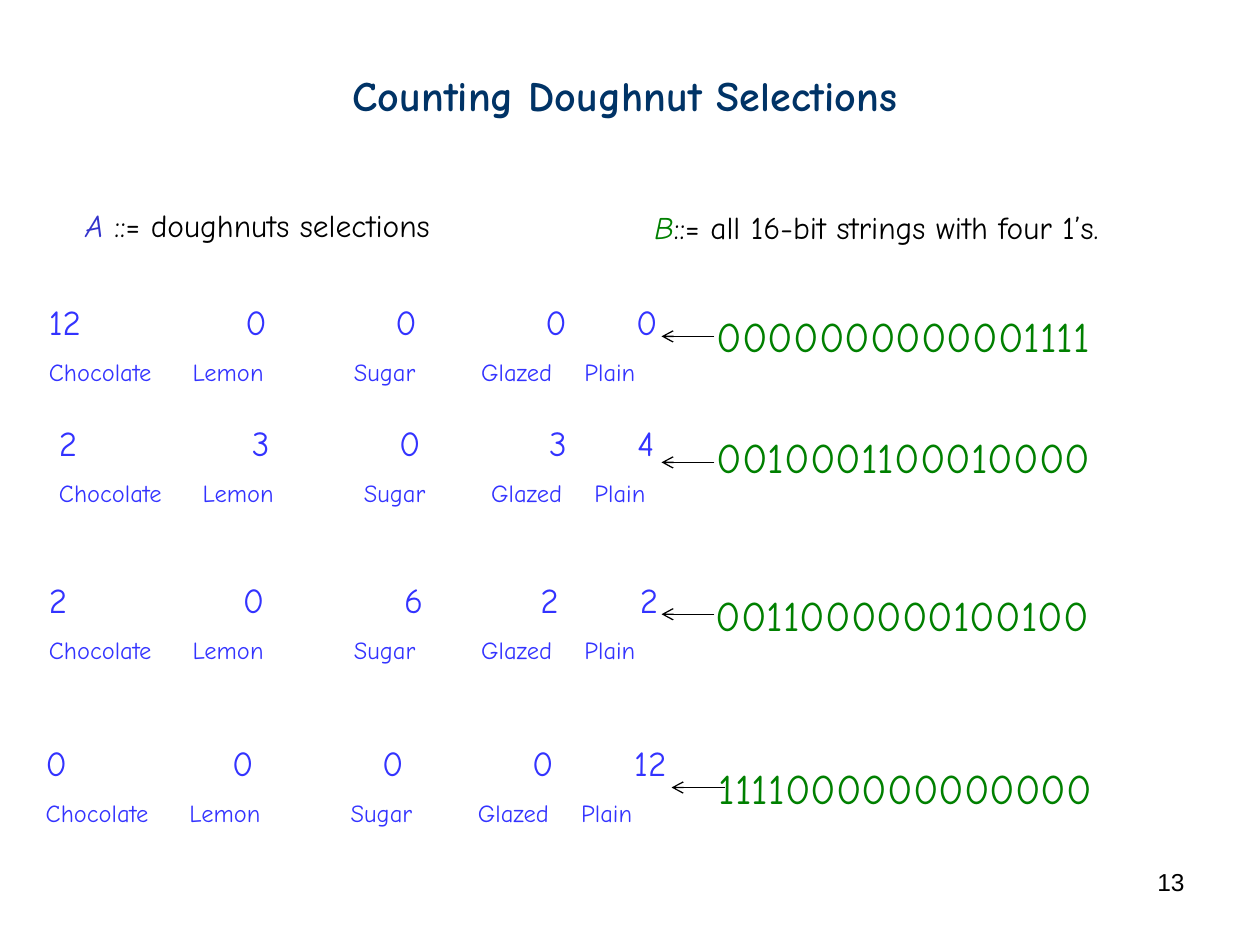
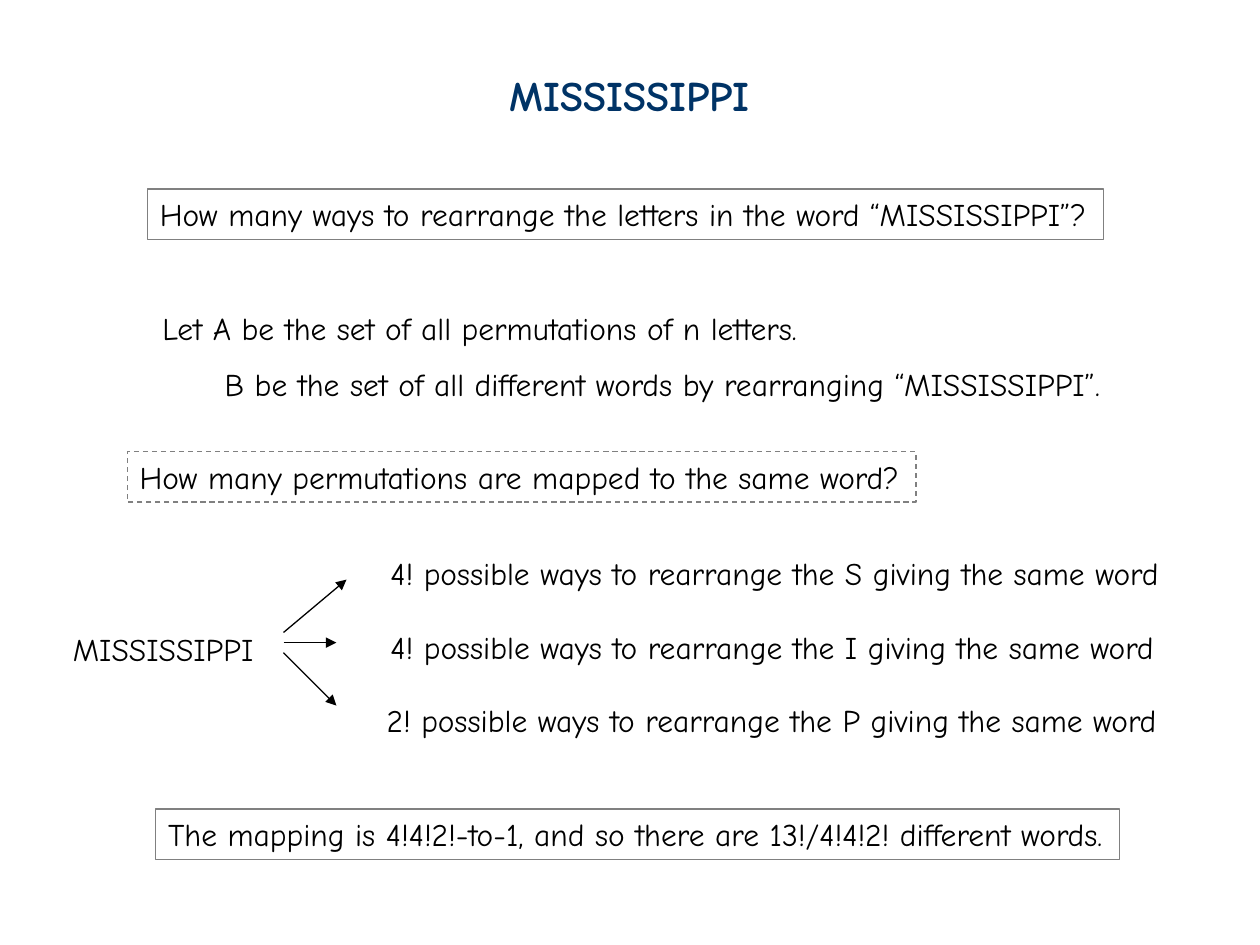
"""Build two slides on counting by mapping: doughnut selections and MISSISSIPPI."""
from dataclasses import dataclass
from typing import NamedTuple, Optional

from lxml.etree import SubElement
from pptx import Presentation
from pptx.dml.color import RGBColor
from pptx.enum.dml import MSO_LINE
from pptx.enum.shapes import MSO_CONNECTOR, MSO_SHAPE
from pptx.enum.text import MSO_ANCHOR, MSO_AUTO_SIZE, PP_ALIGN
from pptx.oxml.ns import qn
from pptx.util import Inches, Pt

SLIDE_WIDTH, SLIDE_HEIGHT = Inches(10), Inches(7.5)
COLUMNS, ROWS = 100, 75

NAVY = RGBColor(0x00, 0x33, 0x66)
INDIGO = RGBColor(0x33, 0x33, 0xCC)
BLUE = RGBColor(0x33, 0x33, 0xFF)
GREEN = RGBColor(0x00, 0x80, 0x00)
GRAY = RGBColor(0x80, 0x80, 0x80)
BLACK = RGBColor(0x00, 0x00, 0x00)

BODY_FONT = "Comic Neue"
NUMBER_FONT = "Arial"
TITLE_SIZE, COUNT_SIZE, BODY_SIZE, LABEL_SIZE = 24, 20, 18, 14
WIDE_SPACING = 1.5

FLAVOURS = ("Chocolate", "Lemon", "Sugar", "Glazed", "Plain")
FLAVOUR_STOPS = (11.4, 24.2, 34.3, 42.5)


class Area(NamedTuple):
    """Place and size in grid columns and rows."""
    left: float
    top: float
    width: float
    height: float = 4


class Style(NamedTuple):
    """Look of a run of text."""
    size: int = BODY_SIZE
    color: RGBColor = BLACK
    bold: bool = False
    italic: bool = False
    font: str = BODY_FONT


BODY = Style()
TITLE = Style(TITLE_SIZE, NAVY, bold=True)
BITS = Style(TITLE_SIZE, GREEN)
COUNTS = Style(COUNT_SIZE, BLUE)
FLAVOUR = Style(LABEL_SIZE, BLUE)
PAGE_NUMBER = Style(LABEL_SIZE, font=NUMBER_FONT)


@dataclass
class Selection:
    """Doughnut counts, their tab stops, and the matching bit string."""
    counts: tuple
    stops: tuple
    left: float
    top: float
    bits: str
    bits_left: float
    bits_top: float
    arrow_row: float
    arrow_column: float = 56.7


@dataclass
class Statement:
    """A line of body text, framed if it has a frame."""
    text: str
    area: Area
    framed: bool = False
    dash: Optional[MSO_LINE] = None


class Arrow(NamedTuple):
    """Start and end of an arrow in grid columns and rows."""
    start_column: float
    start_row: float
    end_column: float
    end_row: float


SELECTIONS = (
    Selection((12, 0, 0, 0, 0), (15.6, 27.5, 39.4, 46.6), 2.9, 23.35,
              "0000000000001111", 55.9, 24.15, 26.7),
    Selection((2, 3, 0, 3, 4), (15.3, 27, 38.9, 45.9), 3.7, 32.95,
              "0010001100010000", 55.9, 33.75, 36.7),
    Selection((2, 0, 6, 2, 2), (15.4, 28.2, 39, 46.9), 2.9, 45.4,
              "0011000000100100", 55.8, 46.3, 48.75),
    Selection((0, 0, 0, 0, 12), (14.8, 26.7, 38.6, 46.7), 2.65, 58.35,
              "1111000000000000", 56.05, 60, 62.5, 57.5),
)

STATEMENTS = (
    Statement("How many ways to rearrange the letters in the word “MISSISSIPPI”?",
              Area(11.7, 15, 75.9), framed=True),
    Statement("How many permutations are mapped to the same word?",
              Area(10.1, 35.85, 62.6), framed=True, dash=MSO_LINE.DASH),
    Statement("MISSISSIPPI", Area(4.8, 49.5, 16.4)),
    Statement("The mapping is 4!4!2!-to-1, and so there are 13!/4!4!2! different words.",
              Area(12.35, 64.2, 76.5), framed=True),
)

REARRANGEMENTS = (("4!", "S", 30, 63.3), ("4!", "I", 30, 62.9), ("2!", "P", 29.7, 63.4))
REARRANGEMENT_TOP, REARRANGEMENT_STEP = 43.5, 5.83

MAPPING_ARROWS = (
    Arrow(22.5, 50.2, 27.5, 46),
    Arrow(22.5, 51, 26.7, 51),
    Arrow(22.5, 51.8, 26.7, 56),
)


def across(columns: float) -> int:
    """Turn grid columns into a length."""
    return round(SLIDE_WIDTH * columns / COLUMNS)


def down(rows: float) -> int:
    """Turn grid rows into a length."""
    return round(SLIDE_HEIGHT * rows / ROWS)


def grid_box(area: Area) -> tuple:
    """Give left, top, width and height as lengths."""
    return across(area.left), down(area.top), across(area.width), down(area.height)


def apply_style(run, style: Style) -> None:
    """Format one run."""
    run.font.name = style.font
    run.font.size = Pt(style.size)
    run.font.bold = style.bold
    run.font.italic = style.italic
    run.font.color.rgb = style.color


def write(paragraph, text: str, style: Style) -> None:
    """Fill a paragraph with text in one style."""
    paragraph.text = text
    for run in paragraph.runs:
        apply_style(run, style)


def set_stops(paragraph, stops: tuple) -> None:
    """Give a paragraph left tab stops, in grid columns."""
    stop_list = SubElement(paragraph._p.get_or_add_pPr(), qn("a:tabLst"))
    for stop in stops:
        SubElement(stop_list, qn("a:tab"), pos=str(across(stop)), algn="l")


def keep_on_one_line(frame) -> None:
    """Let a frame grow with its text instead of wrapping it."""
    frame.word_wrap = False
    frame.auto_size = MSO_AUTO_SIZE.SHAPE_TO_FIT_TEXT


def add_text(slide, area: Area, text: str, style: Style = BODY, wrap: bool = False):
    """Add a text box and return its frame."""
    frame = slide.shapes.add_textbox(*grid_box(area)).text_frame
    if wrap:
        frame.word_wrap = True
    else:
        keep_on_one_line(frame)
    write(frame.paragraphs[0], text, style)
    return frame


def add_definition(slide, area: Area, symbol: str, color: RGBColor, meaning: str) -> None:
    """Add a set's italic symbol followed by its meaning."""
    frame = add_text(slide, area, symbol, Style(color=color, italic=True), wrap=True)
    meaning_run = frame.paragraphs[0].add_run()
    meaning_run.text = meaning
    apply_style(meaning_run, BODY)


def add_statement(slide, statement: Statement) -> None:
    """Add a statement as plain or framed text."""
    if not statement.framed:
        add_text(slide, statement.area, statement.text)
        return
    panel = slide.shapes.add_shape(MSO_SHAPE.RECTANGLE, *grid_box(statement.area))
    panel.shadow.inherit = False
    panel.fill.background()
    panel.line.color.rgb = GRAY
    panel.line.width = Pt(0.75)
    if statement.dash:
        panel.line.dash_style = statement.dash
    frame = panel.text_frame
    keep_on_one_line(frame)
    frame.vertical_anchor = MSO_ANCHOR.TOP
    write(frame.paragraphs[0], statement.text, BODY)
    frame.paragraphs[0].alignment = PP_ALIGN.LEFT


def add_arrow(slide, arrow: Arrow, head: str) -> None:
    """Add a thin black arrow."""
    connector = slide.shapes.add_connector(
        MSO_CONNECTOR.STRAIGHT,
        across(arrow.start_column), down(arrow.start_row),
        across(arrow.end_column), down(arrow.end_row))
    connector.line.color.rgb = BLACK
    connector.line.width = Pt(0.75)
    properties = connector._element.spPr
    SubElement(properties.find(qn("a:ln")), qn("a:tailEnd"), type=head)
    SubElement(properties, qn("a:effectLst"))


def add_selection(slide, selection: Selection) -> None:
    """Add the counts, flavours, arrow and bit string of one selection."""
    frame = add_text(slide, Area(selection.left, selection.top, 52, 7.9),
                     "\t".join(map(str, selection.counts)), COUNTS, wrap=True)
    set_stops(frame.paragraphs[0], selection.stops)
    flavours = frame.add_paragraph()
    set_stops(flavours, FLAVOUR_STOPS)
    flavours.line_spacing = WIDE_SPACING
    write(flavours, "\t".join(FLAVOURS), FLAVOUR)
    add_text(slide, Area(selection.bits_left, selection.bits_top, 39.1, 5),
             selection.bits, BITS, wrap=True)
    add_arrow(slide, Arrow(selection.arrow_column, selection.arrow_row,
                           selection.arrow_column - 4.2, selection.arrow_row), "arrow")


def start_slide(deck, title: str, left: float, width: float):
    """Add a blank slide with its title."""
    slide = deck.slides.add_slide(deck.slide_layouts[6])
    add_text(slide, Area(left, 5, width, 5), title, TITLE)
    return slide


def build_doughnuts(deck) -> None:
    """Match doughnut selections with bit strings."""
    slide = start_slide(deck, "Counting Doughnut Selections", 27, 45.2)
    add_definition(slide, Area(5.8, 15.85, 49.2), "A ", INDIGO, "::= doughnuts selections")
    add_definition(slide, Area(50.95, 16, 44.7), "B", GREEN,
                   "::= all 16-bit strings with four 1’s.")
    for selection in SELECTIONS:
        add_selection(slide, selection)
    number = add_text(slide, Area(71.7, 68.3, 23.3, 5.2), "13", PAGE_NUMBER, wrap=True)
    number.paragraphs[0].alignment = PP_ALIGN.RIGHT


def build_mississippi(deck) -> None:
    """Count the rearrangements of a word with repeated letters."""
    slide = start_slide(deck, "MISSISSIPPI", 39.45, 21.1)
    sets = add_text(slide, Area(11.9, 24, 78, 8.5),
                    "Let A be the set of all permutations of n letters.", wrap=True)
    words = sets.add_paragraph()
    words._p.get_or_add_pPr().set("marL", str(across(4.95)))
    words.line_spacing = WIDE_SPACING
    write(words, "B be the set of all different words by rearranging “MISSISSIPPI”.", BODY)
    for statement in STATEMENTS:
        add_statement(slide, statement)
    for index, (ways, letter, left, width) in enumerate(REARRANGEMENTS):
        top = REARRANGEMENT_TOP + index * REARRANGEMENT_STEP
        add_text(slide, Area(left, top, width),
                 f"{ways} possible ways to rearrange the {letter} giving the same word")
    for arrow in MAPPING_ARROWS:
        add_arrow(slide, arrow, "triangle")


def main() -> None:
    """Build and save the deck."""
    deck = Presentation()
    deck.slide_width, deck.slide_height = SLIDE_WIDTH, SLIDE_HEIGHT
    build_doughnuts(deck)
    build_mississippi(deck)
    deck.save("out.pptx")


if __name__ == "__main__":
    main()
